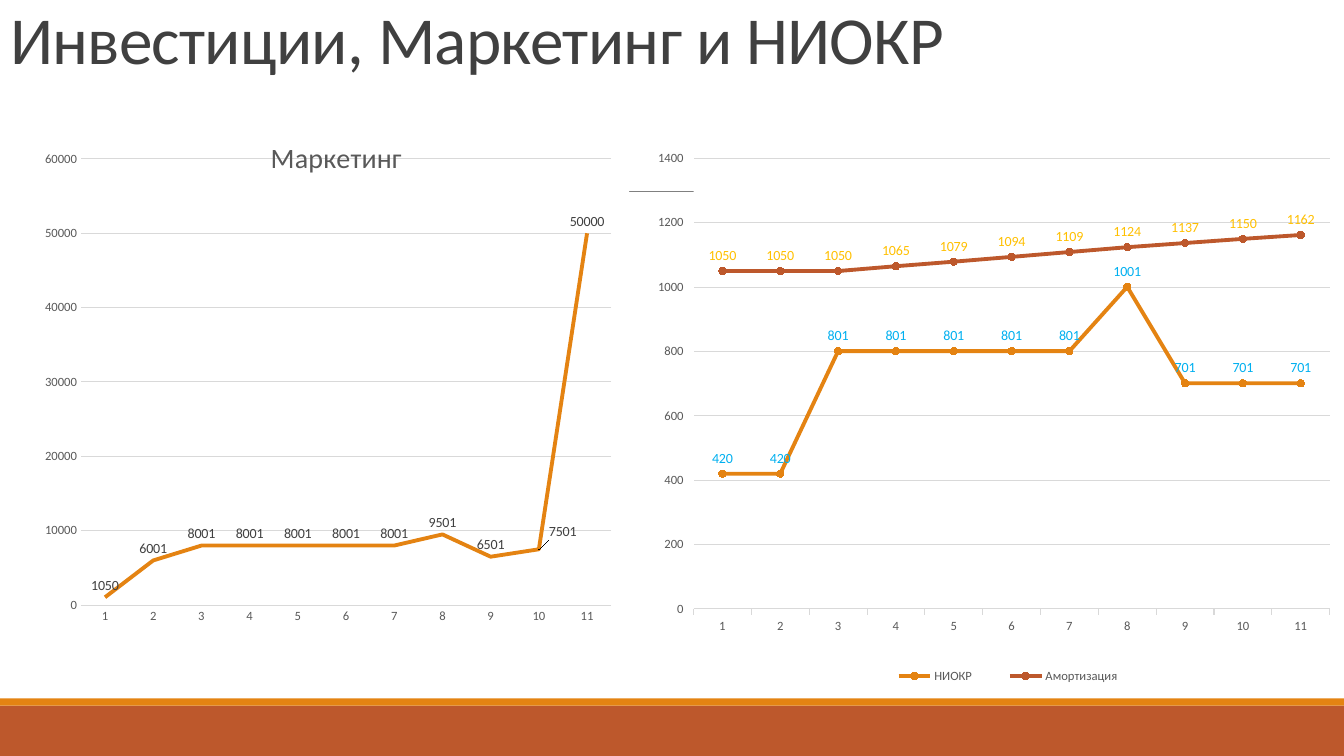
from dataclasses import dataclass
from typing import Optional

from pptx import Presentation
from pptx import util as u
from pptx.chart.data import CategoryChartData
from pptx.dml.color import RGBColor
from pptx.enum import chart as ch
from pptx.enum import shapes, text
from pptx.oxml import parse_xml
from pptx.oxml.ns import nsdecls, qn

FONT = "Calibri"
COLORS = {
    "white": "FFFFFF", "orange": "E48312", "rust": "BD582C", "rule": "808080",
    "title": "404040", "axis": "595959", "grid": "D9D9D9", "black": "000000",
    "blue": "00B0F0", "yellow": "FFC000",
}
PERIODS = [str(period) for period in range(1, 12)]


@dataclass
class Band:
    top: float
    height: float
    color: str


@dataclass
class Line:
    name: str
    values: list[int]
    color: str
    label_color: str


@dataclass
class LineChart:
    box: tuple[float, float, float, float]
    plot: tuple[float, float, float, float]
    lines: list[Line]
    maximum: int
    step: int
    tick: ch.XL_TICK_MARK
    markers: bool
    title: Optional[str] = None


BANDS = [Band(7, 0.5, "rust"), Band(6.93, 0.07, "orange")]
CHARTS = [
    LineChart(
        (0.33, 1.05, 5.91, 5.27), (0.08, 0.1, 0.89, 0.84),
        [Line("Маркетинг", [1050, 6001] + [8001] * 5 + [9501, 6501, 7501, 50000],
              "orange", "title")],
        60000, 10000, ch.XL_TICK_MARK.NONE, False, "Маркетинг"),
    LineChart(
        (6.24, 1.27, 7.09, 6.04), (0.09, 0.05, 0.89, 0.74),
        [Line("НИОКР", [420] * 2 + [801] * 5 + [1001] + [701] * 3, "orange", "blue"),
         Line("Амортизация",
              [1050, 1050, 1050, 1065, 1079, 1094, 1109, 1124, 1137, 1150, 1162],
              "rust", "yellow")],
        1400, 200, ch.XL_TICK_MARK.OUTSIDE, True),
]


def rgb(color: str) -> RGBColor:
    return RGBColor.from_string(COLORS[color])


def set_font(font, size: float, color: str) -> None:
    font.name = FONT
    font.size = u.Pt(size)
    font.bold = False
    font.color.rgb = rgb(color)


def set_line(line, color: str, width: float) -> None:
    line.color.rgb = rgb(color)
    line.width = u.Pt(width)


def chart_fill(color: str):
    return parse_xml(
        f'<c:spPr {nsdecls("c", "a")}><a:solidFill><a:srgbClr val="{COLORS[color]}"/>'
        "</a:solidFill><a:ln><a:noFill/></a:ln></c:spPr>")


def place(parent, after: Optional[str], x: float, y: float, w: float = 0,
          h: float = 0, inner: bool = False, edge: bool = True) -> None:
    """Give a chart part a manual layout, in fractions of the chart."""
    for old in parent.findall(qn("c:layout")):
        parent.remove(old)
    parts = ['<c:layoutTarget val="inner"/>'] if inner else []
    if edge:
        parts += ['<c:xMode val="edge"/>', '<c:yMode val="edge"/>']
    parts += [f'<c:x val="{x}"/>', f'<c:y val="{y}"/>']
    if w:
        parts += [f'<c:w val="{w}"/>', f'<c:h val="{h}"/>']
    layout = parse_xml(f'<c:layout {nsdecls("c")}><c:manualLayout>{"".join(parts)}'
                       "</c:manualLayout></c:layout>")
    if after:
        parent.find(qn(after)).addnext(layout)
    else:
        parent.insert(0, layout)


def add_band(page, band: Band) -> None:
    box = page.shapes.add_shape(shapes.MSO_SHAPE.RECTANGLE, 0, u.Inches(band.top),
                                u.Inches(13.33), u.Inches(band.height))
    box.shadow.inherit = False
    box.fill.solid()
    box.fill.fore_color.rgb = rgb(band.color)
    box.line.fill.background()


def add_rule(page) -> None:
    rule = page.shapes.add_connector(
        shapes.MSO_CONNECTOR.STRAIGHT, u.Inches(1.31), u.Inches(1.9),
        u.Inches(12.21), u.Inches(1.9))
    set_line(rule.line, "rule", 0.5)
    rule.element.spPr.append(parse_xml(f'<a:effectLst {nsdecls("a")}/>'))


def format_title(page, words: str) -> None:
    box = page.shapes.title
    box.left, box.top = u.Inches(0), u.Inches(0)
    box.width, box.height = u.Inches(10.92), u.Inches(0.83)
    frame = box.text_frame
    frame.word_wrap = True
    frame.auto_size = text.MSO_AUTO_SIZE.NONE
    frame.vertical_anchor = text.MSO_ANCHOR.BOTTOM
    para = frame.paragraphs[0]
    para.alignment = text.PP_ALIGN.LEFT
    para.line_spacing = 0.85
    span = para.add_run()
    span.text = words
    set_font(span.font, 48, "title")
    span.font.element.set("spc", "-50") if hasattr(span.font, "element") else \
        span._r.get_or_add_rPr().set("spc", "-50")


def format_axes(chart, item: LineChart) -> None:
    for axis in (chart.category_axis, chart.value_axis):
        axis.major_tick_mark = item.tick
        axis.minor_tick_mark = ch.XL_TICK_MARK.NONE
        set_font(axis.tick_labels.font, 9, "axis")
    set_line(chart.category_axis.format.line, "grid", 0.75)
    values = chart.value_axis
    values.minimum_scale, values.maximum_scale = 0, item.maximum
    values.major_unit = item.step
    values.format.line.fill.background()
    set_line(values.major_gridlines.format.line, "grid", 0.75)


def format_series(series, line: Line, markers: bool) -> None:
    series.smooth = False
    set_line(series.format.line, line.color, 2.75)
    marker = series.marker
    marker.style = ch.XL_MARKER_STYLE.CIRCLE if markers else ch.XL_MARKER_STYLE.NONE
    if markers:
        marker.size = 5
        marker.format.fill.solid()
        marker.format.fill.fore_color.rgb = rgb(line.color)
        set_line(marker.format.line, line.color, 0.75)
    labels = series.data_labels
    labels.show_value = True
    labels.position = ch.XL_LABEL_POSITION.ABOVE
    set_font(labels.font, 10, line.label_color)


def add_line_chart(page, item: LineChart) -> None:
    data = CategoryChartData()
    data.categories = PERIODS
    for line in item.lines:
        data.add_series(line.name, line.values)
    kind = ch.XL_CHART_TYPE.LINE_MARKERS if item.markers else ch.XL_CHART_TYPE.LINE
    chart = page.shapes.add_chart(kind, *map(u.Inches, item.box), data).chart
    set_font(chart.font, 10, "black")
    chart.plots[0].vary_by_categories = False
    format_axes(chart, item)
    for series, line in zip(chart.plots[0].series, item.lines):
        format_series(series, line, item.markers)

    area = chart.element.find(qn("c:chart"))
    plot = area.find(qn("c:plotArea"))
    place(plot, None, *item.plot, inner=True)
    chart.has_legend = item.markers
    chart.has_title = item.title is not None
    if item.title:
        span = chart.chart_title.text_frame.paragraphs[0].add_run()
        span.text = item.title
        set_font(span.font, 20, "axis")
        place(area.find(qn("c:title")), "c:tx", 0.39, 0.05)
        area.addnext(chart_fill("white"))
        moved = chart.plots[0].series[0].points[9].data_label
        moved.position = ch.XL_LABEL_POSITION.ABOVE
        set_font(moved.font, 10, item.lines[0].label_color)
        place(plot.find(".//" + qn("c:dLbl")), "c:idx", 0.04, -0.01, edge=False)
    else:
        plot.append(chart_fill("white"))
        chart.legend.position = ch.XL_LEGEND_POSITION.RIGHT
        chart.legend.include_in_layout = False
        set_font(chart.legend.font, 9, "axis")
        place(area.find(qn("c:legend")), "c:legendPos", 0.33, 0.87, 0.4, 0.06)


def main() -> None:
    deck = Presentation()
    deck.slide_width, deck.slide_height = u.Inches(13.33), u.Inches(7.5)
    page = deck.slides.add_slide(deck.slide_layouts[5])
    for band in BANDS:
        add_band(page, band)
    add_rule(page)
    format_title(page, "Инвестиции, Маркетинг и НИОКР")
    for item in CHARTS:
        add_line_chart(page, item)
    deck.save("out.pptx")


if __name__ == "__main__":
    main()
